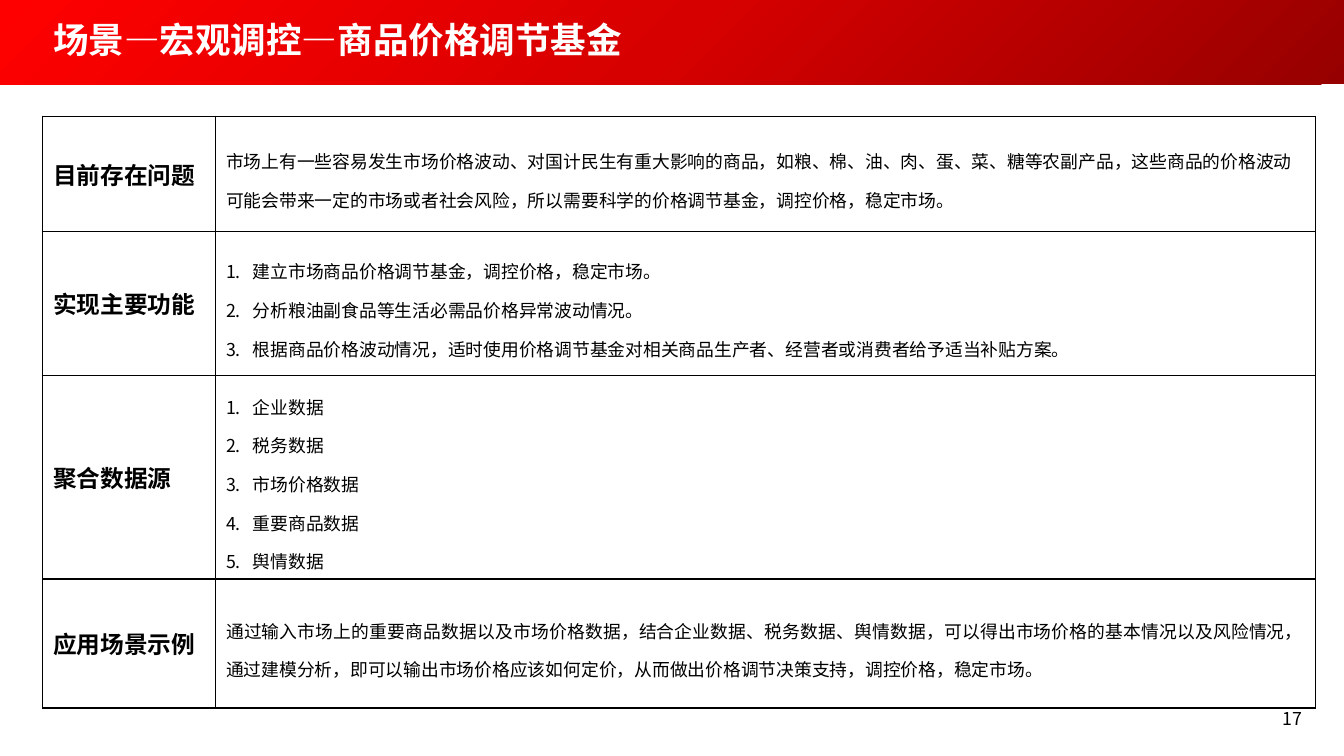
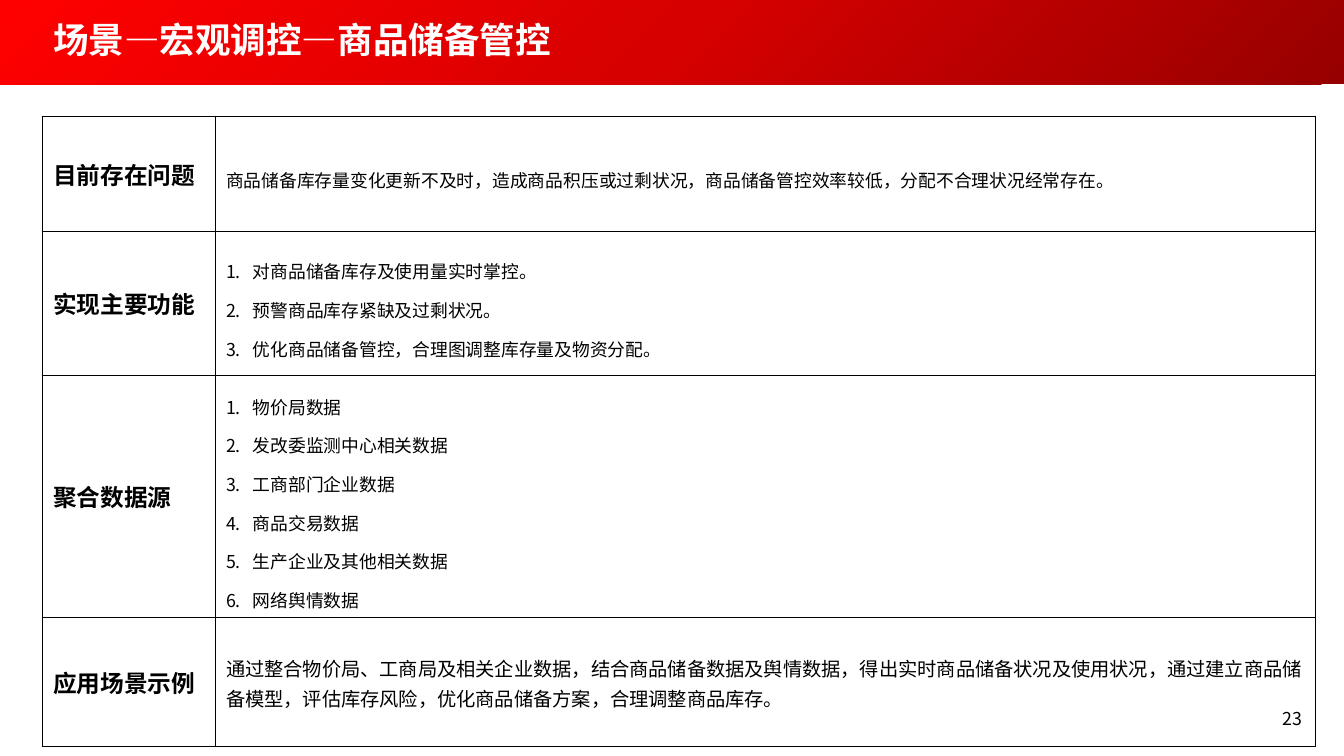
from lxml import etree
from pptx import Presentation
from pptx.dml.color import RGBColor
from pptx.enum.shapes import MSO_SHAPE as Shape
from pptx.enum.text import MSO_ANCHOR as Anchor, PP_ALIGN as Align
from pptx.oxml import parse_xml
from pptx.oxml.ns import nsdecls, qn
from pptx.util import Inches, Pt

# Shared style
SLIDE_W, SLIDE_H = 12.6, 7.09
FONT = "Noto Sans CJK SC"
BLACK, WHITE = "000000", "FFFFFF"
BAND_STOPS = [(0, "970000"), (50, "D70000"), (100, "FF0000")]
BAND_BOX = (0, 0, SLIDE_W, 0.79)
TITLE_BOX = (0.4, 0, 10.87, 0.79)
NUMBER_BOX = (9.47, 6.59, 2.84, 0.38)
TABLE_AREA = (0.4, 1.09, 11.93)
COLUMNS = [1.62, 10.31]
MIN_ROWS = [1.08, 1.35, 1.47, 1.21]
LINE_STEP, ROW_PADDING = 0.36, 0.11
LABELS = ["目前存在问题", "实现主要功能", "聚合数据源", "应用场景示例"]
CELL_INSETS = (0.1, 0.05, 0.1, 0.05)


def colour(code):
    return RGBColor.from_string(code)


def set_font(para, size, code=BLACK, bold=False, latin=FONT):
    font = para.font
    font.size, font.bold, font.name = Pt(size), bold, latin
    font.color.rgb = colour(code)
    east_asian = etree.Element(qn("a:ea"), typeface=FONT)
    para._p.pPr.find(qn("a:defRPr")).find(qn("a:latin")).addnext(east_asian)


def add_number(para):
    """Turn a paragraph into an automatically numbered item."""
    props = para._p.get_or_add_pPr()
    props.set("marL", str(Inches(0.25)))
    props.set("indent", str(Inches(-0.25)))
    etree.SubElement(props, qn("a:buFont"), typeface=FONT)
    etree.SubElement(props, qn("a:buAutoNum"), type="arabicPeriod")


def add_band(page, box):
    band = page.shapes.add_shape(Shape.RECTANGLE, *map(Inches, box))
    band.shadow.inherit = False
    band.line.fill.background()
    stops = "".join(
        f'<a:gs pos="{share * 1000}"><a:srgbClr val="{code}"/></a:gs>'
        for share, code in BAND_STOPS)
    gradient = parse_xml(
        f'<a:gradFill {nsdecls("a")} rotWithShape="1"><a:gsLst>{stops}</a:gsLst>'
        f'<a:lin ang="{225 * 60000}" scaled="0"/></a:gradFill>')
    band._element.spPr.find(qn("a:prstGeom")).addnext(gradient)


def add_text(page, box, text, size, code=BLACK, bold=False,
             align=Align.LEFT, anchor=Anchor.TOP, spacing=1.0):
    frame = page.shapes.add_textbox(*map(Inches, box)).text_frame
    frame.word_wrap = True
    frame.vertical_anchor = anchor
    para = frame.paragraphs[0]
    para.text, para.alignment, para.line_spacing = text, align, spacing
    set_font(para, size, code, bold)


def fill_cell(cell, lines, size=12, bold=False, spacing=1.5, numbered=False,
              align=Align.LEFT, latin=FONT, insets=CELL_INSETS):
    cell.vertical_anchor = Anchor.MIDDLE
    (cell.margin_left, cell.margin_top,
     cell.margin_right, cell.margin_bottom) = map(Inches, insets)
    # Borders come before the fill in the cell properties
    props = cell._tc.get_or_add_tcPr()
    for side in ("lnL", "lnR", "lnT", "lnB"):
        props.append(parse_xml(
            f'<a:{side} {nsdecls("a")} w="{Pt(1)}"><a:solidFill>'
            f'<a:srgbClr val="{BLACK}"/></a:solidFill></a:{side}>'))
    cell.fill.background()
    frame = cell.text_frame
    for index, line in enumerate(lines):
        para = frame.add_paragraph() if index else frame.paragraphs[0]
        para.text = line
        if numbered:
            add_number(para)
        para.alignment, para.line_spacing = align, spacing
        set_font(para, size, bold=bold, latin=latin)


def add_scene_table(page, area, contents):
    # A row is tall enough for all its lines
    heights = [max(least, ROW_PADDING + LINE_STEP * len(content["lines"]))
               for least, content in zip(MIN_ROWS, contents)]
    frame = page.shapes.add_table(len(heights), len(COLUMNS),
                                  *map(Inches, (*area, sum(heights))))
    table = frame.table
    table.first_row = table.horz_banding = False
    for column, width in zip(table.columns, COLUMNS):
        column.width = Inches(width)
    for row, height, label, content in zip(table.rows, heights, LABELS, contents):
        row.height = Inches(height)
        fill_cell(row.cells[0], [label], size=16, bold=True, spacing=1.0)
        fill_cell(row.cells[1], **content)


def add_scene(deck, topic, number, contents):
    page = deck.slides.add_slide(deck.slide_layouts[6])
    add_band(page, BAND_BOX)
    add_text(page, TITLE_BOX, f"场景—宏观调控—{topic}", 24, WHITE, True,
             anchor=Anchor.MIDDLE, spacing=0.9)
    add_scene_table(page, TABLE_AREA, contents)
    add_text(page, NUMBER_BOX, str(number), 12, align=Align.RIGHT)


def prose(text, **style):
    return dict(lines=[text], **style)


def steps(*lines):
    return dict(lines=lines, numbered=True)


SCENES = [
    ("商品价格调节基金", 17, [
        prose("市场上有一些容易发生市场价格波动、对国计民生有重大影响的商品，"
              "如粮、棉、油、肉、蛋、菜、糖等农副产品，这些商品的价格波动"
              "可能会带来一定的市场或者社会风险，所以需要科学的价格调节基金，"
              "调控价格，稳定市场。"),
        steps("建立市场商品价格调节基金，调控价格，稳定市场。",
              "分析粮油副食品等生活必需品价格异常波动情况。",
              "根据商品价格波动情况，适时使用价格调节基金对相关商品生产者、"
              "经营者或消费者给予适当补贴方案。"),
        steps("企业数据", "税务数据", "市场价格数据", "重要商品数据", "舆情数据"),
        prose("通过输入市场上的重要商品数据以及市场价格数据，结合企业数据、"
              "税务数据、舆情数据，可以得出市场价格的基本情况以及风险情况，"
              "通过建模分析，即可以输出市场价格应该如何定价，"
              "从而做出价格调节决策支持，调控价格，稳定市场。",
              align=Align.JUSTIFY),
    ]),
    ("商品储备管控", 23, [
        prose("商品储备库存量变化更新不及时，造成商品积压或过剩状况，"
              "商品储备管控效率较低，分配不合理状况经常存在。"),
        steps("对商品储备库存及使用量实时掌控。",
              "预警商品库存紧缺及过剩状况。",
              "优化商品储备管控，合理图调整库存量及物资分配。"),
        steps("物价局数据", "发改委监测中心相关数据", "工商部门企业数据",
              "商品交易数据", "生产企业及其他相关数据", "网络舆情数据"),
        prose("通过整合物价局、工商局及相关企业数据，结合商品储备数据及舆情数据，"
              "得出实时商品储备状况及使用状况，通过建立商品储备模型，"
              "评估库存风险，优化商品储备方案，合理调整商品库存。",
              size=13, spacing=1.07, latin="Calibri", insets=(0.1, 0, 0.08, 0)),
    ]),
]


def main():
    deck = Presentation()
    deck.slide_width, deck.slide_height = Inches(SLIDE_W), Inches(SLIDE_H)
    for topic, number, contents in SCENES:
        add_scene(deck, topic, number, contents)
    deck.save("out.pptx")


if __name__ == "__main__":
    main()
